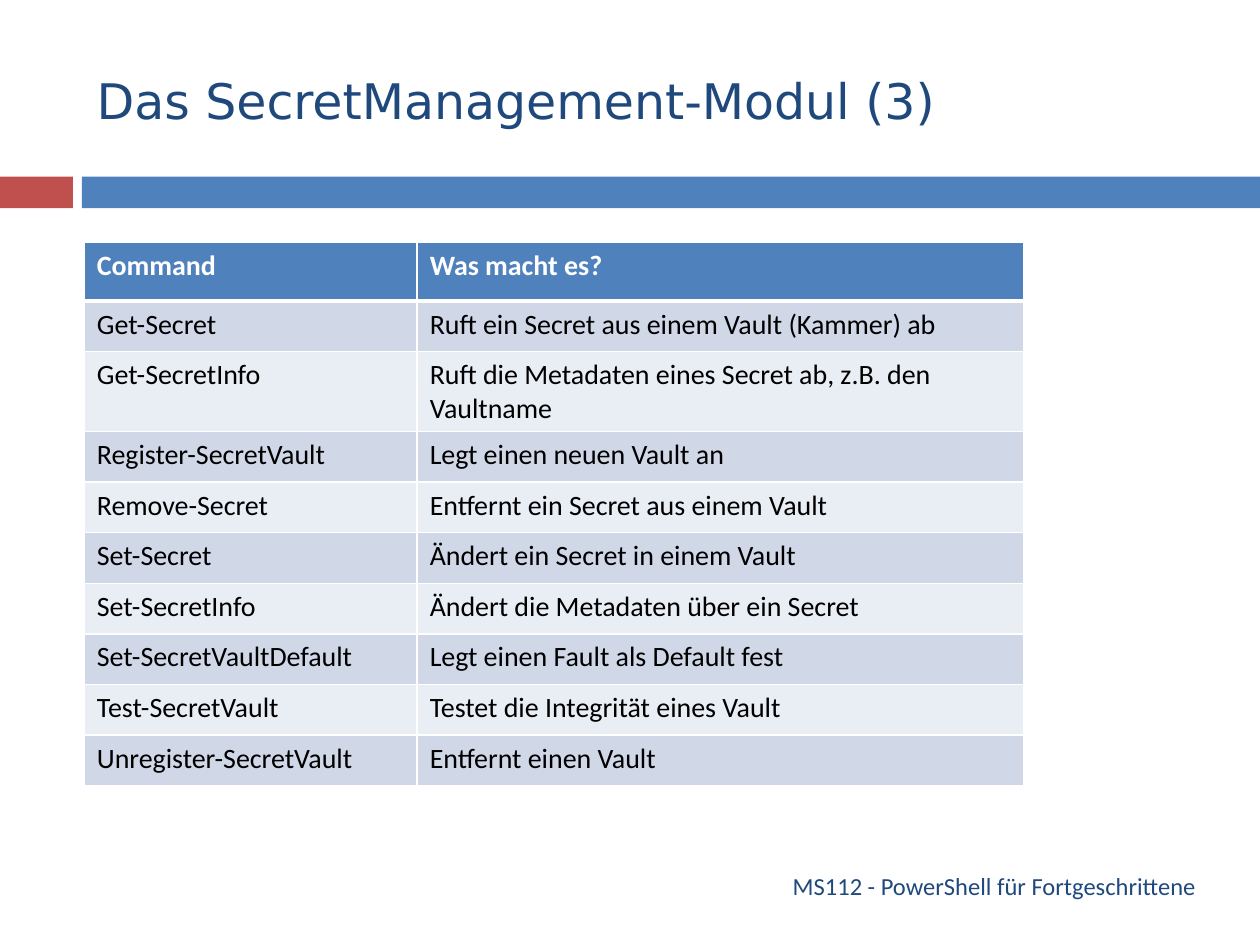
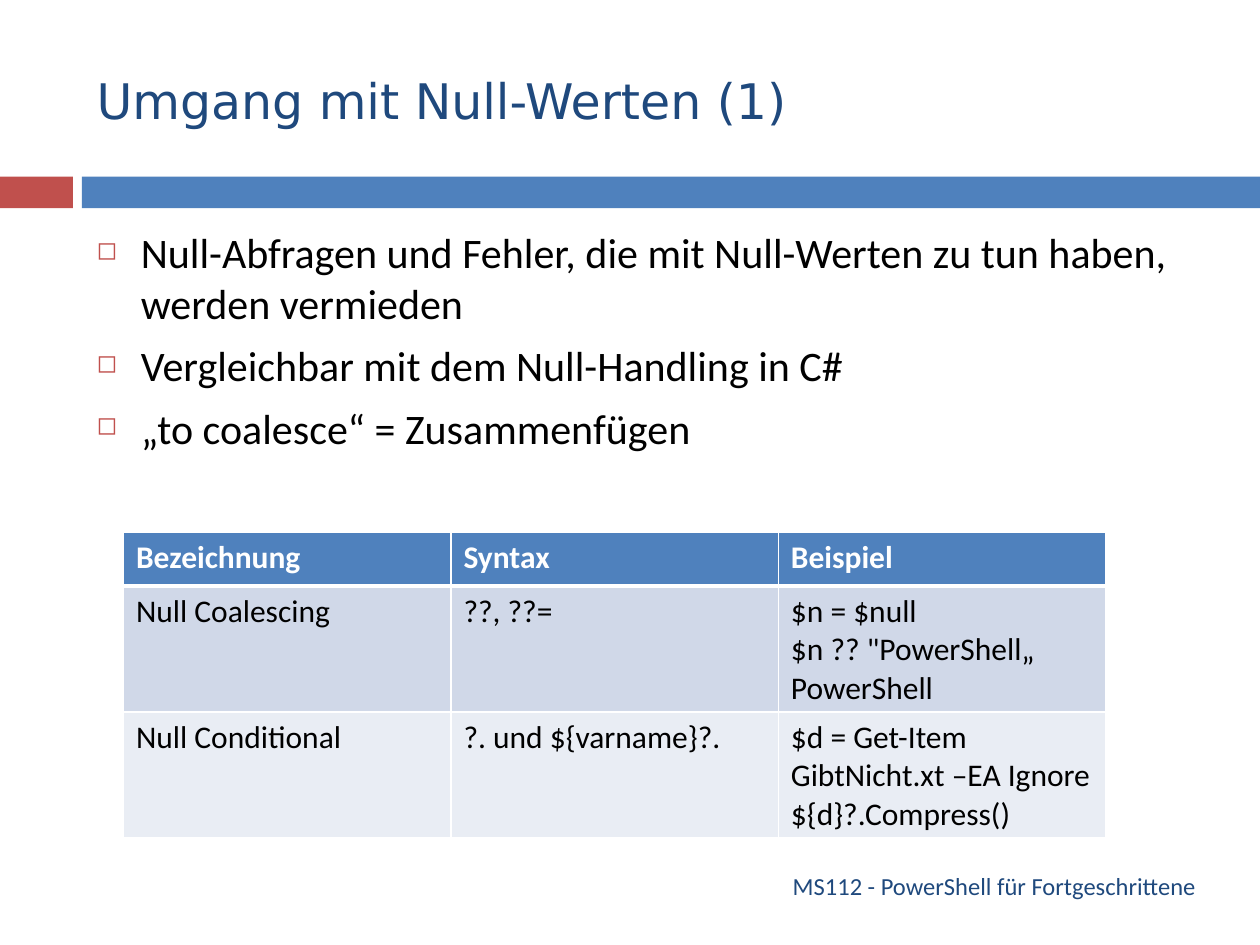
import pptx
import pptx.util
import pptx.dml.color
import pptx.enum.shapes
import pptx.enum.text
import pptx.oxml
import pptx.oxml.ns

Cm = pptx.util.Cm
Pt = pptx.util.Pt
RGBColor = pptx.dml.color.RGBColor
Align = pptx.enum.text.PP_ALIGN
Anchor = pptx.enum.text.MSO_ANCHOR

NAVY = RGBColor(0x1F, 0x49, 0x7D)
BLUE = RGBColor(0x4F, 0x81, 0xBD)
RED = RGBColor(0xC0, 0x50, 0x4D)
WHITE = RGBColor(0xFF, 0xFF, 0xFF)
BLACK = RGBColor(0, 0, 0)
ROW_TINTS = (RGBColor(0xD0, 0xD8, 0xE8), RGBColor(0xE9, 0xED, 0xF4))

BODY_FONT = "Calibri"
TITLE_FONT = "DejaVu Sans"
FOOTER = "MS112 - PowerShell für Fortgeschrittene"
MARGIN = Cm(1.7)
CONTENT_WIDTH = Cm(22.66)
BAND_TOP = Cm(3.56)
BAND_HEIGHT = Cm(0.64)

COMMANDS = [
    ("Command", "Was macht es?"),
    ("Get-Secret", "Ruft ein Secret aus einem Vault (Kammer) ab"),
    ("Get-SecretInfo", "Ruft die Metadaten eines Secret ab, z.B. den Vaultname"),
    ("Register-SecretVault", "Legt einen neuen Vault an"),
    ("Remove-Secret", "Entfernt ein Secret aus einem Vault"),
    ("Set-Secret", "Ändert ein Secret in einem Vault"),
    ("Set-SecretInfo", "Ändert die Metadaten über ein Secret"),
    ("Set-SecretVaultDefault", "Legt einen Fault als Default fest"),
    ("Test-SecretVault", "Testet die Integrität eines Vault"),
    ("Unregister-SecretVault", "Entfernt einen Vault"),
]
NULL_POINTS = [
    "Null-Abfragen und Fehler, die mit Null-Werten zu tun haben, werden vermieden",
    "Vergleichbar mit dem Null-Handling in C#",
    "„to coalesce“ = Zusammenfügen",
]
NULL_OPERATORS = [
    ("Bezeichnung", "Syntax", "Beispiel"),
    ("Null Coalescing", "??, ??=", '$n = $null\n$n ?? "PowerShell„\nPowerShell'),
    ("Null Conditional", "?. und ${varname}?.",
     "$d = Get-Item GibtNicht.xt –EA Ignore\v${d}?.Compress()"),
]


def add_xml(parent, markup):
    parent.append(pptx.oxml.parse_xml(
        markup.replace(">", f" {pptx.oxml.ns.nsdecls('a')}>", 1)))


def add_bullet(paragraph):
    properties = paragraph._p.get_or_add_pPr()
    properties.set("marL", str(Cm(0.89)))
    properties.set("indent", str(-Cm(0.89)))
    add_xml(properties, f'<a:buClr><a:srgbClr val="{RED}"/></a:buClr>')
    add_xml(properties, '<a:buSzPct val="60000"></a:buSzPct>')
    add_xml(properties, '<a:buChar char="◻"></a:buChar>')


def write_text(frame, text, size, color=BLACK, font=BODY_FONT, bold=False,
               align=Align.LEFT, anchor=Anchor.TOP, bullets=False, gap=0):
    frame.word_wrap = True
    frame.vertical_anchor = anchor
    for index, line in enumerate(text.split("\n")):
        paragraph = frame.add_paragraph() if index else frame.paragraphs[0]
        paragraph.text = line
        paragraph.alignment = align
        if bullets:
            add_bullet(paragraph)
        if index and gap:
            paragraph.space_before = Pt(gap)
        for run in paragraph.runs:
            run.font.name = font
            run.font.size = Pt(size)
            run.font.bold = bold
            run.font.color.rgb = color


def add_text(slide, text, top, height, **text_format):
    box = slide.shapes.add_textbox(MARGIN, top, CONTENT_WIDTH, height)
    write_text(box.text_frame, text, **text_format)


def add_band(slide, left, width, color):
    band = slide.shapes.add_shape(pptx.enum.shapes.MSO_SHAPE.RECTANGLE,
                                  left, BAND_TOP, width, BAND_HEIGHT)
    band.shadow.inherit = False
    band.fill.solid()
    band.fill.fore_color.rgb = color
    band.line.fill.background()


def add_borders(cell, top, bottom):
    properties = cell._tc.get_or_add_tcPr()
    for side, width in (("L", 1), ("R", 1), ("T", top), ("B", bottom)):
        add_xml(properties,
                f'<a:ln{side} w="{Pt(width)}"><a:solidFill>'
                f'<a:srgbClr val="{WHITE}"/></a:solidFill></a:ln{side}>')


def add_grid(slide, rows, left, top, widths, heights, size):
    table = slide.shapes.add_table(len(rows), len(widths), left, top,
                                   sum(widths), sum(heights)).table
    for column, width in zip(table.columns, widths):
        column.width = width
    for r, (values, height) in enumerate(zip(rows, heights)):
        header = r == 0
        table.rows[r].height = height
        for c, value in enumerate(values):
            cell = table.cell(r, c)
            write_text(cell.text_frame, value, size, bold=header,
                       color=WHITE if header else BLACK)
            add_borders(cell, top=3 if r == 1 else 1, bottom=3 if header else 1)
            cell.fill.solid()
            cell.fill.fore_color.rgb = BLUE if header else ROW_TINTS[(r - 1) % 2]


def add_page(deck, title):
    slide = deck.slides.add_slide(deck.slide_layouts[6])
    add_band(slide, 0, Cm(1.47), RED)
    add_band(slide, Cm(1.65), Cm(23.75), BLUE)
    add_text(slide, title, Cm(0.64), Cm(2.74), size=28, color=NAVY,
             font=TITLE_FONT, anchor=Anchor.MIDDLE)
    add_text(slide, FOOTER, Cm(17.35), Cm(1.02), size=14, color=NAVY,
             align=Align.RIGHT, anchor=Anchor.MIDDLE)
    return slide


def main():
    deck = pptx.Presentation()
    deck.slide_width, deck.slide_height = Cm(25.4), Cm(19.05)

    secrets = add_page(deck, "Das SecretManagement-Modul (3)")
    add_grid(secrets, COMMANDS, MARGIN, Cm(4.88), [Cm(6.71), Cm(12.22)],
             [Cm(1.19), Cm(1.02), Cm(1.57)] + [Cm(1.02)] * 7, size=16)

    nulls = add_page(deck, "Umgang mit Null-Werten (1)")
    add_text(nulls, "\n".join(NULL_POINTS), Cm(4.45), Cm(5.69), size=24,
             bullets=True, gap=7)
    add_grid(nulls, NULL_OPERATORS, Cm(2.49), Cm(10.72), [Cm(6.6)] * 3,
             [Cm(1.09), Cm(2.54), Cm(2.54)], size=18)

    deck.save("out.pptx")


if __name__ == "__main__":
    main()
